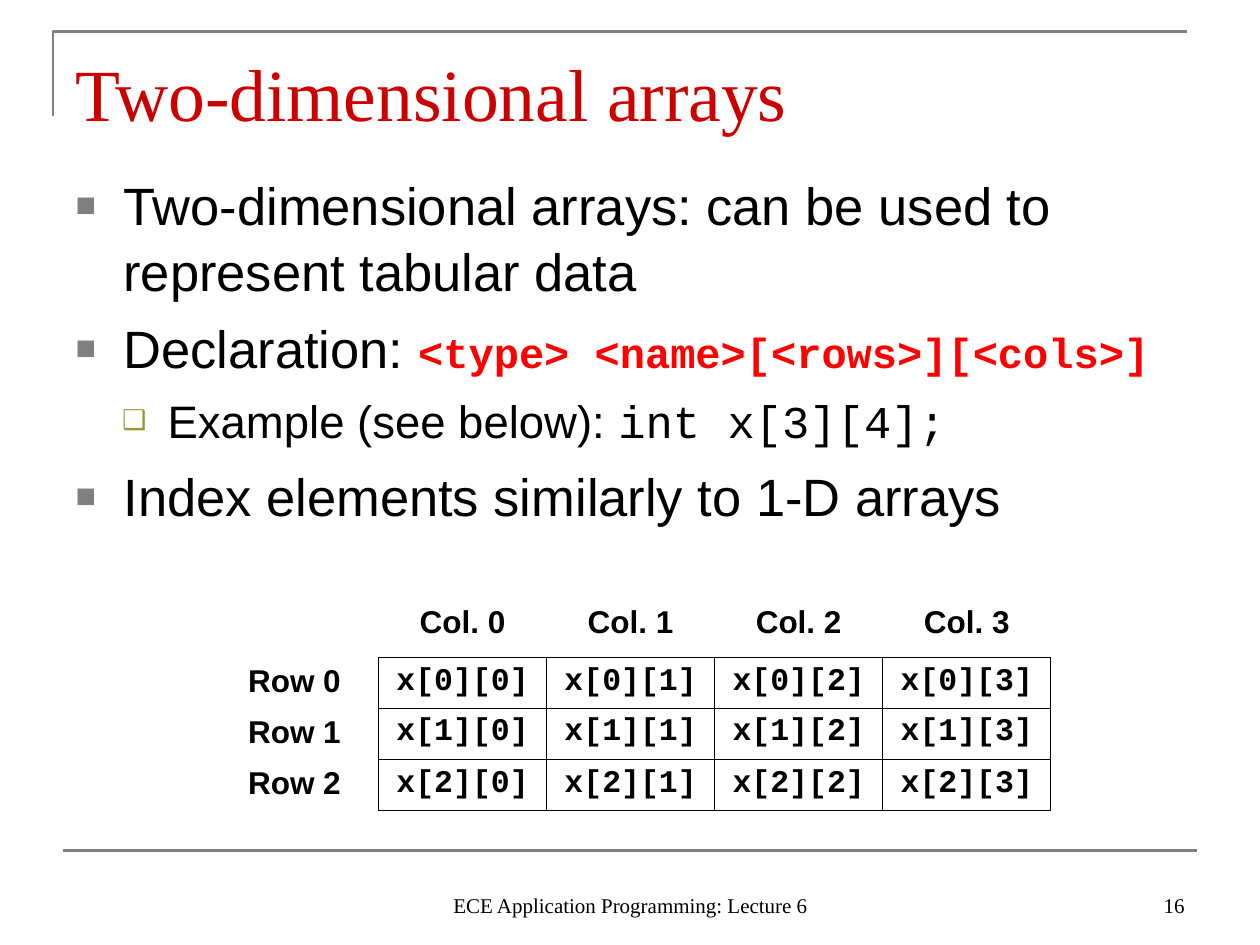
import pptx
import pptx.dml.color
import pptx.enum.shapes
import pptx.enum.text
import pptx.oxml
import pptx.oxml.ns
import pptx.util
from dataclasses import dataclass
from lxml import etree

Inches = pptx.util.Inches
Pt = pptx.util.Pt
qn = pptx.oxml.ns.qn
ALIGN = pptx.enum.text.PP_ALIGN
ANCHOR = pptx.enum.text.MSO_ANCHOR


@dataclass(frozen=True)
class Theme:
    title: str = "CC0000"
    text: str = "000000"
    code: str = "FF0000"
    rule: str = "808080"
    sub_bullet: str = "999933"
    sans: str = "Arial"
    serif: str = "Times New Roman"
    mono: str = "Courier New"
    title_size: int = 42
    body_size: int = 30
    sub_size: int = 26
    code_size: int = 24
    table_size: int = 18
    footer_size: int = 12


theme = Theme()


def write_text(paragraph, text, size, font=theme.sans, color=theme.text, bold=False, align=None):
    """Append a formatted run to the paragraph."""
    run = paragraph.add_run()
    run.text = text
    run.font.size = Pt(size)
    run.font.name = font
    run.font.bold = bold
    run.font.color.rgb = pptx.dml.color.RGBColor.from_string(color)
    if align is not None:
        paragraph.alignment = align


def set_borders(cell, visible):
    """Draw the named sides (L, R, T, B) and clear the others."""
    properties = cell._tc.get_or_add_tcPr()
    for position, side in enumerate("LRTB"):
        border = etree.Element(qn(f"a:ln{side}"), w=str(Pt(0.45)))
        if side in visible:
            fill = etree.SubElement(border, qn("a:solidFill"))
            etree.SubElement(fill, qn("a:srgbClr"), val=theme.text)
        else:
            etree.SubElement(border, qn("a:noFill"))
        properties.insert(position, border)


presentation = pptx.Presentation()
presentation.slide_width = Inches(10)
presentation.slide_height = Inches(7.5)
slide = presentation.slides.add_slide(presentation.slide_layouts[1])
rule_color = pptx.dml.color.RGBColor.from_string(theme.rule)

# Corner frame and footer rule
builder = slide.shapes.build_freeform(Inches(0.42), Inches(0.92))
builder.add_line_segments(
    [(Inches(0.42), Inches(0.25)), (Inches(9.42), Inches(0.25))], close=False)
frame = builder.convert_to_shape()
frame.fill.background()
frame.shadow.inherit = False

footer_rule = slide.shapes.add_connector(
    pptx.enum.shapes.MSO_CONNECTOR.STRAIGHT,
    Inches(0.5), Inches(6.75), Inches(9.5), Inches(6.75))
etree.SubElement(footer_rule._element.spPr, qn("a:effectLst"))
for outline in (frame.line, footer_rule.line):
    outline.color.rgb = rule_color
    outline.width = Pt(1.5)

# Title and body placeholders
title = slide.shapes.title
body = slide.placeholders[1]
for placeholder, top, height, anchor in (
        (title, 0.3, 0.78, ANCHOR.BOTTOM), (body, 1.25, 5.45, ANCHOR.TOP)):
    placeholder.left, placeholder.top = Inches(0.5), Inches(top)
    placeholder.width, placeholder.height = Inches(9), Inches(height)
    frame_text = placeholder.text_frame
    frame_text.auto_size = pptx.enum.text.MSO_AUTO_SIZE.NONE
    frame_text.word_wrap = True
    frame_text.vertical_anchor = anchor
    frame_text.margin_bottom = 0
body.text_frame.margin_top = Inches(0.1)

write_text(title.text_frame.paragraphs[0], "Two-dimensional arrays",
           size=theme.title_size, font=theme.serif, color=theme.title, align=ALIGN.LEFT)

# Per level: bullet, its colour, its size in percent, left margin, hanging indent
bullet_levels = [
    ("■", theme.rule, 65, 0.38, -0.38),
    ("❑", theme.sub_bullet, 60, 0.73, -0.36),
]
body_size, sub_size = {"size": theme.body_size}, {"size": theme.sub_size}
declaration = {"size": theme.code_size, "font": theme.mono, "color": theme.code, "bold": True}
# Level, space before, runs
points = [
    (0, 0, [("Two-dimensional arrays: can be used to represent tabular data", body_size)]),
    (0, 6, [("Declaration: ", body_size),
            ("<type> <name>[<rows>][<cols>]", declaration)]),
    (1, 6.5, [("Example (see below): ", sub_size),
              ("int x[3][4];", {**sub_size, "font": theme.mono})]),
    (0, 7.5, [("Index elements similarly to 1-D arrays", body_size)]),
]
for index, (level, space_before, runs) in enumerate(points):
    paragraph = body.text_frame.paragraphs[0] if index == 0 else body.text_frame.add_paragraph()
    bullet, bullet_color, bullet_percent, margin, indent = bullet_levels[level]
    properties = paragraph._p.get_or_add_pPr()
    properties.set("marL", str(Inches(margin)))
    properties.set("indent", str(Inches(indent)))
    color = etree.SubElement(properties, qn("a:buClr"))
    etree.SubElement(color, qn("a:srgbClr"), val=bullet_color)
    etree.SubElement(properties, qn("a:buSzPct"), val=str(bullet_percent * 1000))
    etree.SubElement(properties, qn("a:buFont"), typeface=theme.sans)
    etree.SubElement(properties, qn("a:buChar"), char=bullet)
    paragraph.level = level
    paragraph.line_spacing = 1.05
    paragraph.space_before = Pt(space_before)
    for text, text_format in runs:
        write_text(paragraph, text, **text_format)

# Footer and slide number
for text, left, width, align in (
        ("ECE Application Programming: Lecture 6", 3.42, 3.17, ALIGN.CENTER),
        ("16", 7.17, 2.33, ALIGN.RIGHT)):
    box = slide.shapes.add_textbox(Inches(left), Inches(6.83), Inches(width), Inches(0.5))
    box.text_frame.word_wrap = True
    box.text_frame.vertical_anchor = ANCHOR.BOTTOM
    write_text(box.text_frame.paragraphs[0], text,
               size=theme.footer_size, font=theme.serif, align=align)

# Array table: headings on the top and left, elements inside
row_heights = [0.47, 0.4, 0.41, 0.4]
column_count = 5
table = slide.shapes.add_table(
    len(row_heights), column_count,
    Inches(1.67), Inches(4.75), Inches(6.67), Inches(sum(row_heights))).table
table.first_row = False
table.horz_banding = False
for column in table.columns:
    column.width = Inches(6.67 / column_count)
for row, height in enumerate(row_heights):
    table.rows[row].height = Inches(height)
    for column in range(column_count):
        cell = table.cell(row, column)
        cell.fill.background()
        text, font, sides = f"x[{row - 1}][{column - 1}]", theme.mono, "LRTB"
        if row == 0 and column == 0:
            text, sides = "", ""
        elif row == 0:
            text, font, sides = f"Col. {column - 1}", theme.sans, "B"
        elif column == 0:
            text, font, sides = f"Row {row - 1}", theme.sans, "R"
        set_borders(cell, sides)
        if text:
            write_text(cell.text_frame.paragraphs[0], text, size=theme.table_size,
                       font=font, bold=True, align=ALIGN.CENTER)

presentation.save("out.pptx")
